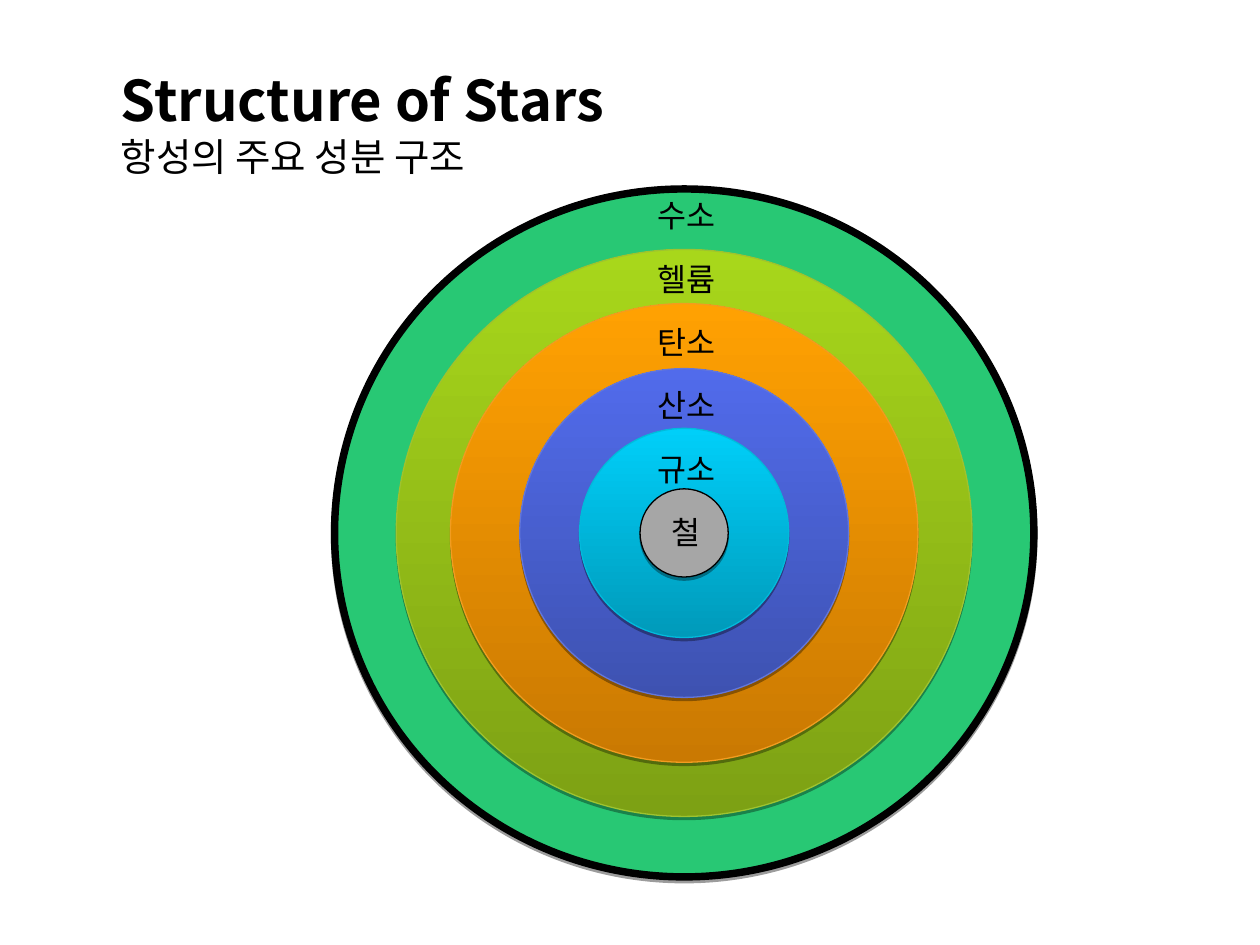
import pptx
import pptx.dml.color
import pptx.enum.shapes
import pptx.enum.text
import pptx.oxml.ns
import pptx.util
from lxml import etree

ALIGN = pptx.enum.text.PP_ALIGN


def color(hex_value):
    return pptx.dml.color.RGBColor.from_string(hex_value)


class StarSlide:
    """Holds the style, a grid of half-inch cells and the current slide."""

    font = "Noto Sans CJK KR"
    ink = "000000"
    columns, rows = 20, 15
    center = (10.86, 8.46)

    def __init__(self, presentation):
        self.cell_width = presentation.slide_width / self.columns
        self.cell_height = presentation.slide_height / self.rows
        self.slide = presentation.slides.add_slide(presentation.slide_layouts[5])

    def box(self, column, row, width, height):
        return (round(column * self.cell_width), round(row * self.cell_height),
                round(width * self.cell_width), round(height * self.cell_height))

    def add_text(self, paragraph, text, size, alignment, bold=False):
        paragraph.alignment = alignment
        paragraph.space_before = pptx.util.Pt(0)
        run = paragraph.add_run()
        run.text = text
        run.font.size = pptx.util.Pt(size)
        run.font.bold = bold
        run.font.name = self.font
        run.font.color.rgb = color(self.ink)
        etree.SubElement(run.font._element, pptx.oxml.ns.qn("a:ea"), typeface=self.font)

    def title(self, place, lines):
        shape = self.slide.shapes.title
        shape.left, shape.top, shape.width, shape.height = self.box(*place)
        frame = shape.text_frame
        frame.auto_size = pptx.enum.text.MSO_AUTO_SIZE.NONE
        frame.vertical_anchor = pptx.enum.text.MSO_ANCHOR.TOP
        for index, (text, size, bold) in enumerate(lines):
            paragraph = frame.add_paragraph() if index else frame.paragraphs[0]
            self.add_text(paragraph, text, size, ALIGN.LEFT, bold)

    def shadow(self, shape, distance, opacity):
        qn = pptx.oxml.ns.qn
        shape.shadow.inherit = False
        effects = shape._element.spPr.find(qn("a:effectLst"))
        outer = etree.SubElement(effects, qn("a:outerShdw"), blurRad="0",
                                 dist=str(int(pptx.util.Pt(distance))), dir="5400000",
                                 rotWithShape="0")
        tint = etree.SubElement(outer, qn("a:srgbClr"), val=self.ink)
        etree.SubElement(tint, qn("a:alpha"), val=str(opacity * 1000))

    def layer(self, width, height, fills, line, line_width=0.75, distance=1.8, opacity=35):
        place = (self.center[0] - width / 2, self.center[1] - height / 2, width, height)
        shape = self.slide.shapes.add_shape(pptx.enum.shapes.MSO_SHAPE.OVAL, *self.box(*place))
        if len(fills) == 1:
            shape.fill.solid()
            shape.fill.fore_color.rgb = color(fills[0])
        else:
            shape.fill.gradient()
            shape.fill.gradient_angle = 90
            for stop, position, value in zip(shape.fill.gradient_stops, (0, 1), fills):
                stop.position = position
                stop.color.rgb = color(value)
        shape.line.color.rgb = color(line)
        shape.line.width = pptx.util.Pt(line_width)
        self.shadow(shape, distance, opacity)

    def labels(self, column, row, width, height, texts):
        group = self.slide.shapes.add_group_shape()
        for index, text in enumerate(texts):
            place = self.box(column, row + index * 1.005, width, height)
            frame = group.shapes.add_textbox(*place).text_frame
            frame.word_wrap = True
            self.add_text(frame.paragraphs[0], text, 18, ALIGN.CENTER)


def main():
    presentation = pptx.Presentation()
    presentation.slide_width = pptx.util.Inches(10)
    presentation.slide_height = pptx.util.Inches(7.5)
    star = StarSlide(presentation)
    star.layer(11.1, 10.92, ["28C874"], "000000", 4.25, 1.6, 38)
    star.layer(9.14, 9, ["7DA114", "A8D71B"], "9EC330")
    star.layer(7.42, 7.28, ["CA7902", "FFA102"], "F29C20")
    star.layer(5.22, 5.22, ["3E52B1", "516BEB"], "6377DB")
    star.layer(3.32, 3.32, ["009ABA", "00CFF9"], "02BADB")
    star.layer(1.4, 1.4, ["A6A6A6"], "000000")
    star.labels(10.02, 3.02, 1.74, 0.8, ["수소", "헬륨", "탄소", "산소", "규소", "철"])
    star.title((1.72, 0.94, 12.18, 2),
               [("Structure of Stars", 32, True), ("항성의 주요 성분 구조", 22, False)])
    presentation.save("out.pptx")


if __name__ == "__main__":
    main()
